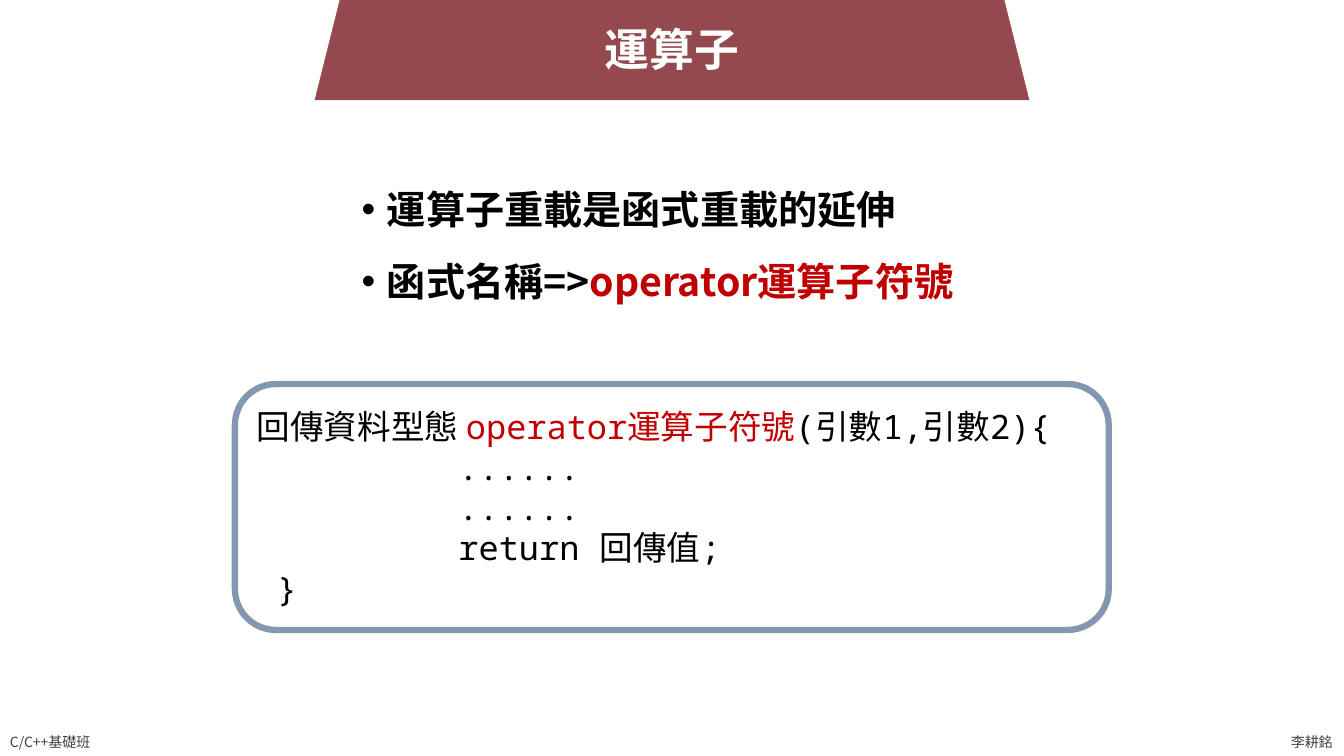
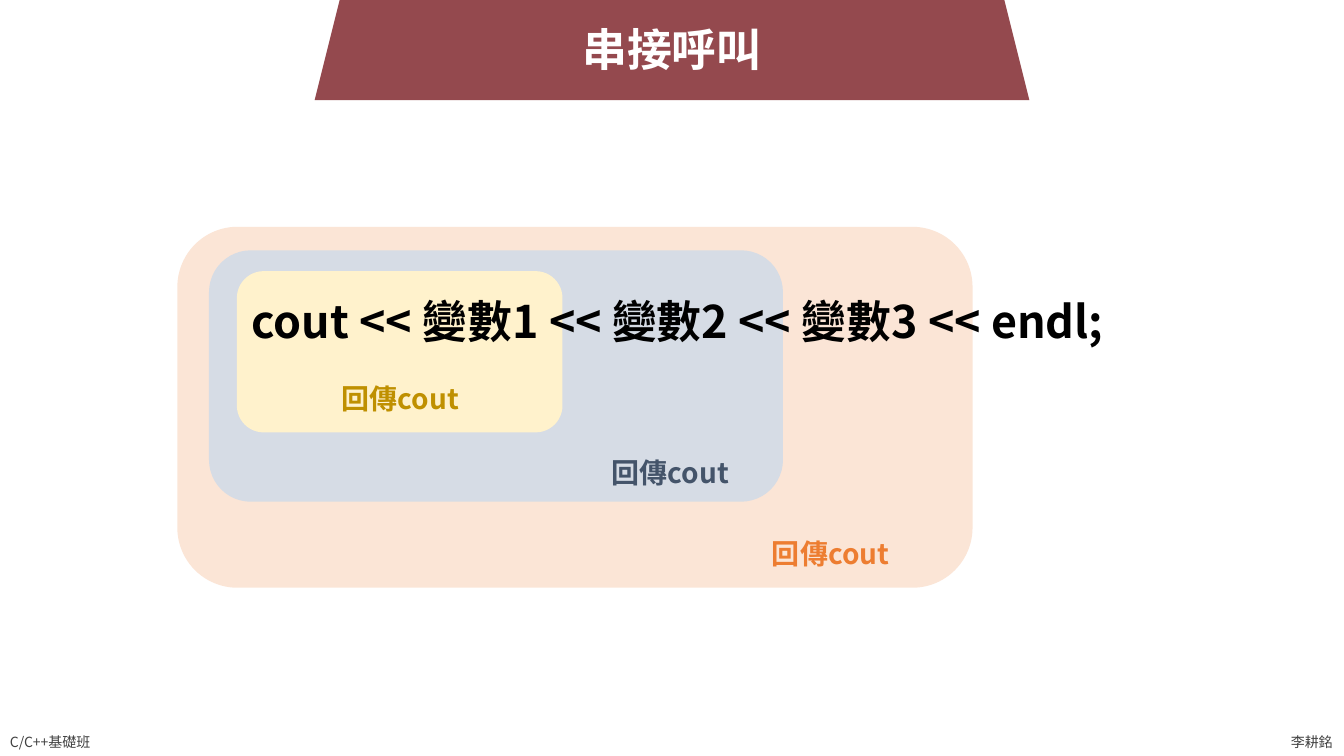
"""Build two slides on C++ operator overloading and chained calls."""
from dataclasses import dataclass

from lxml.etree import SubElement
from pptx import Presentation
from pptx.dml.color import RGBColor as RGB
from pptx.enum.shapes import MSO_SHAPE as Shape
from pptx.enum.text import MSO_ANCHOR as Anchor, PP_ALIGN as Align
from pptx.oxml.ns import qn
from pptx.util import Pt


@dataclass(frozen=True)
class Theme:
    sans: str = "Noto Sans CJK TC"
    mono: str = "Noto Sans Mono"
    band: str = "94494E"
    white: str = "FFFFFF"
    ink: str = "000000"
    footer: str = "404040"
    accent: str = "C00000"
    outline: str = "8497B0"
    title_size: int = 32
    body_size: int = 28
    code_size: int = 24
    label_size: int = 20
    footer_size: int = 10


theme = Theme()


def add_panel(slide, kind, place, fill, line=None):
    panel = slide.shapes.add_shape(kind, *map(Pt, place))
    panel.shadow.inherit = False
    panel.fill.solid()
    panel.fill.fore_color.rgb = RGB.from_string(fill)
    if line:
        panel.line.color.rgb = RGB.from_string(line)
        panel.line.width = Pt(4.5)
    else:
        panel.line.fill.background()
    return panel


def add_text(shape, lines, size, color, bold=False, face=theme.sans,
             align=Align.LEFT, anchor=Anchor.TOP, wrap=True, bullet=False):
    frame = shape.text_frame
    frame.word_wrap = wrap
    frame.vertical_anchor = anchor
    for index, line in enumerate(lines):
        paragraph = frame.add_paragraph() if index else frame.paragraphs[0]
        paragraph.alignment = align
        props = paragraph._p.get_or_add_pPr()
        if bullet:
            props.set("marL", str(Pt(18)))
            props.set("indent", str(-Pt(18)))
            SubElement(props, qn("a:buFont"), typeface="Arial")
            SubElement(props, qn("a:buChar"), char="•")
            paragraph.line_spacing = 1.3
            if index:
                paragraph.space_before = Pt(8)
        font = paragraph.font
        font.size, font.bold, font.name = Pt(size), bold, face
        font.color.rgb = RGB.from_string(color)
        SubElement(props.find(qn("a:defRPr")), qn("a:ea"), typeface=theme.sans)
        for text, run_color in line:
            run = paragraph.add_run()
            run.text = text
            if run_color:
                run.font.color.rgb = RGB.from_string(run_color)


deck = Presentation()
deck.slide_width, deck.slide_height = Pt(960), Pt(540)

slides = []
for title in ("運算子", "串接呼叫"):
    slide = deck.slides.add_slide(deck.slide_layouts[6])
    slides.append(slide)
    add_panel(slide, Shape.TRAPEZOID, (224.75, -16.5, 510.5, 88), theme.band)
    heading = slide.shapes.add_textbox(Pt(224.75), Pt(12.25), Pt(510.5), Pt(46))
    add_text(heading, [[(title, None)]], theme.title_size, theme.white,
             bold=True, align=Align.CENTER)
    for credit, left, width in (("C/C++基礎班", 0, 77), ("李耕銘", 915, 45)):
        footer = slide.shapes.add_textbox(Pt(left), Pt(520.6), Pt(width), Pt(19.4))
        add_text(footer, [[(credit, None)]], theme.footer_size, theme.footer,
                 wrap=False)

operators, chaining = slides

points = operators.shapes.add_textbox(Pt(251.3), Pt(118.8), Pt(456.5), Pt(108.7))
add_text(points, [
    [("運算子重載是函式重載的延伸", None)],
    [("函式名稱=>", None), ("operator運算子符號", theme.accent)],
], theme.body_size, theme.ink, bold=True, bullet=True)

syntax = add_panel(operators, Shape.ROUNDED_RECTANGLE, (167.8, 274.3, 624.2, 175.7),
                   theme.white, theme.outline)
add_text(syntax, [
    [("回傳資料型態 ", None), ("operator運算子符號", theme.accent),
     ("(引數1,引數2){", None)],
    [("          ......", None)],
    [("          ......", None)],
    [("          return 回傳值;", None)],
    [(" }", None)],
], theme.code_size, theme.ink, face=theme.mono, anchor=Anchor.MIDDLE)

calls = (
    ((126.7, 162, 568, 257.8), "FBE5D6", (536.4, 379.4), "ED7D31"),
    ((149.3, 178.8, 410, 179.6), "D6DCE5", (421.9, 321.8), "44546A"),
    ((169.2, 193.7, 232.6, 115.2), "FFF2CC", (229, 269.3), "BF9000"),
)
for place, fill, (left, top), color in calls:
    add_panel(chaining, Shape.ROUNDED_RECTANGLE, place, fill)
    result = chaining.shapes.add_textbox(Pt(left), Pt(top), Pt(113.8), Pt(31.7))
    add_text(result, [[("回傳cout", None)]], theme.label_size, color,
             bold=True, align=Align.CENTER)

statement = chaining.shapes.add_textbox(Pt(172.6), Pt(193.7), Pt(685), Pt(70.6))
add_text(statement, [[("cout << 變數1 << 變數2 << 變數3 << endl;", None)]],
         theme.title_size, theme.ink, bold=True, anchor=Anchor.MIDDLE)

deck.save("out.pptx")
